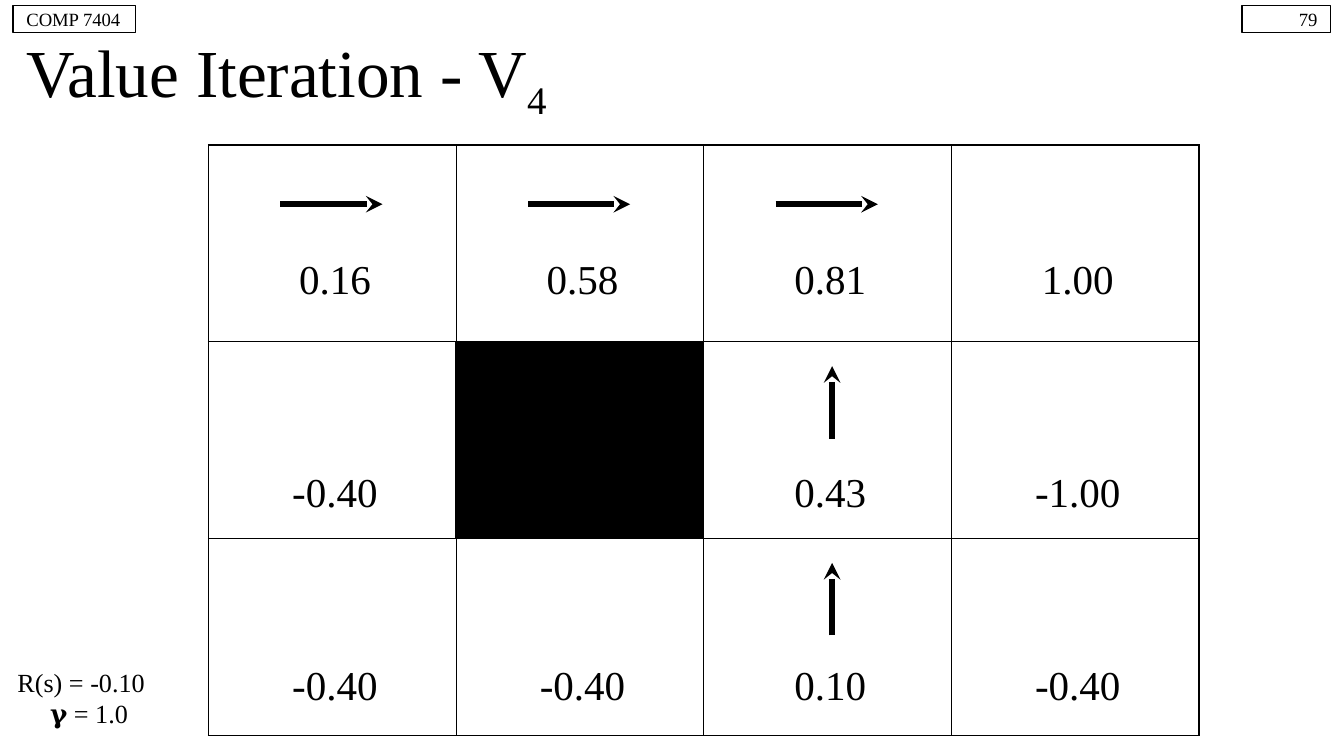
from lxml import etree
from pptx import Presentation
from pptx import util as u
from pptx.dml.color import RGBColor
from pptx.enum import shapes, text
from pptx.oxml import ns

COLORS = {"ink": "000000"}
INK = RGBColor.from_string(COLORS["ink"])
FONT = "Times New Roman"
LEFT, TOP = 3.94, 2.74
COL, ROW = 4.68, 3.72
VALUE_TOPS = (4.68, 8.69, 12.34)
VALUES = (
    ("0.16", "0.58", "0.81", "1.00"),
    ("-0.40", None, "0.43", "-1.00"),
    ("-0.40", "-0.40", "0.10", "-0.40"),
)


class GridSlide:
    def __init__(self, deck):
        self.slide = deck.slides.add_slide(deck.slide_layouts[5])
        self.shapes = self.slide.shapes

    def style(self, frame, size, align, inset=0.25, anchor=text.MSO_ANCHOR.MIDDLE):
        frame.word_wrap = True
        frame.auto_size = text.MSO_AUTO_SIZE.NONE
        frame.vertical_anchor = anchor
        frame.margin_left = frame.margin_right = u.Cm(inset)
        frame.margin_top = frame.margin_bottom = u.Cm(inset)
        for paragraph in frame.paragraphs:
            paragraph.alignment = align
            for run in paragraph.runs:
                run.font.name = FONT
                run.font.size = u.Pt(size)
                run.font.color.rgb = INK

    def title(self, words, subscript):
        heading = self.shapes.title
        heading.left, heading.top = u.Cm(0.25), u.Cm(0.71)
        heading.width, heading.height = u.Cm(24.9), u.Cm(1.45)
        heading.text_frame.text = words
        index = heading.text_frame.paragraphs[0].add_run()
        index.text = subscript
        self.style(heading.text_frame, 36, text.PP_ALIGN.LEFT)
        index._r.get_or_add_rPr().set("baseline", "-25000")

    def box(self, x, y, w, h, filled=False):
        rect = self.shapes.add_shape(
            shapes.MSO_SHAPE.RECTANGLE, u.Cm(x), u.Cm(y), u.Cm(w), u.Cm(h))
        rect.shadow.inherit = False
        if filled:
            rect.fill.solid()
            rect.fill.fore_color.rgb = INK
        else:
            rect.fill.background()
        rect.line.color.rgb = INK
        rect.line.width = u.Pt(0.75)
        return rect

    def tag(self, x, w, words, align):
        label = self.box(x, 0.1, w, 0.52)
        label.text_frame.text = words
        self.style(label.text_frame, 10, align)

    def label(self, x, y, w, h, words, size, align, **options):
        frame = self.shapes.add_textbox(u.Cm(x), u.Cm(y), u.Cm(w), u.Cm(h)).text_frame
        frame.text = words
        self.style(frame, size, align, **options)
        return frame

    def indent(self, paragraph, left):
        properties = paragraph._p.get_or_add_pPr()
        properties.set("marL", str(u.Cm(left)))
        properties.set("indent", "0")

    def value(self, col, top, words):
        frame = self.label(LEFT + col * COL, top, COL, 1.17, words, 22,
                           text.PP_ALIGN.CENTER, inset=0.15)
        self.indent(frame.paragraphs[0], 0.1)

    def grid(self, rows, cols):
        table = self.shapes.add_table(
            rows, cols, u.Cm(LEFT), u.Cm(TOP), u.Cm(cols * COL), u.Cm(rows * ROW)).table
        table.first_row = table.horz_banding = False
        for cell in table.iter_cells():
            cell.fill.background()
            properties = cell._tc.get_or_add_tcPr()
            for place, side in enumerate(("lnL", "lnR", "lnT", "lnB")):
                border = etree.Element(ns.qn("a:" + side), w=str(u.Pt(0.75)))
                fill = etree.SubElement(border, ns.qn("a:solidFill"))
                etree.SubElement(fill, ns.qn("a:srgbClr"), val=COLORS["ink"])
                properties.insert(place, border)

    def arrow(self, x1, y1, x2, y2):
        line = self.shapes.add_connector(
            shapes.MSO_CONNECTOR.STRAIGHT, u.Cm(x1), u.Cm(y1), u.Cm(x2), u.Cm(y2))
        line.line.color.rgb = INK
        line.line.width = u.Pt(3)
        etree.SubElement(line.line._get_or_add_ln(), ns.qn("a:tailEnd"), type="stealth")
        etree.SubElement(line._element.spPr, ns.qn("a:effectLst"))


def main():
    deck = Presentation()
    deck.slide_width, deck.slide_height = u.Cm(25.4), u.Cm(14.29)
    page = GridSlide(deck)
    page.title("Value Iteration - V", "4")
    page.tag(23.47, 1.68, "79", text.PP_ALIGN.RIGHT)
    page.tag(0.25, 2.31, "COMP 7404", text.PP_ALIGN.LEFT)
    parameters = page.label(0.08, 12.34, 3.15, 1.8, "R(s) = -0.10\n𝛄 = 1.0", 14,
                            text.PP_ALIGN.LEFT, anchor=text.MSO_ANCHOR.TOP)
    page.indent(parameters.paragraphs[1], 0.62)

    page.grid(len(VALUES), len(VALUES[0]))
    page.box(LEFT + COL, TOP + ROW, COL, ROW, filled=True)
    for top, row_values in zip(VALUE_TOPS, VALUES):
        for col, value in enumerate(row_values):
            if value:
                page.value(col, top, value)

    for col in range(3):
        start = LEFT + col * COL + 1.36
        page.arrow(start, 3.86, start + 1.93, 3.86)
    for row in (1, 2):
        tip = TOP + row * ROW + 0.46
        middle = LEFT + 2.51 * COL + 0.04
        page.arrow(middle, tip + 1.37, middle, tip)

    deck.save("out.pptx")


if __name__ == "__main__":
    main()
